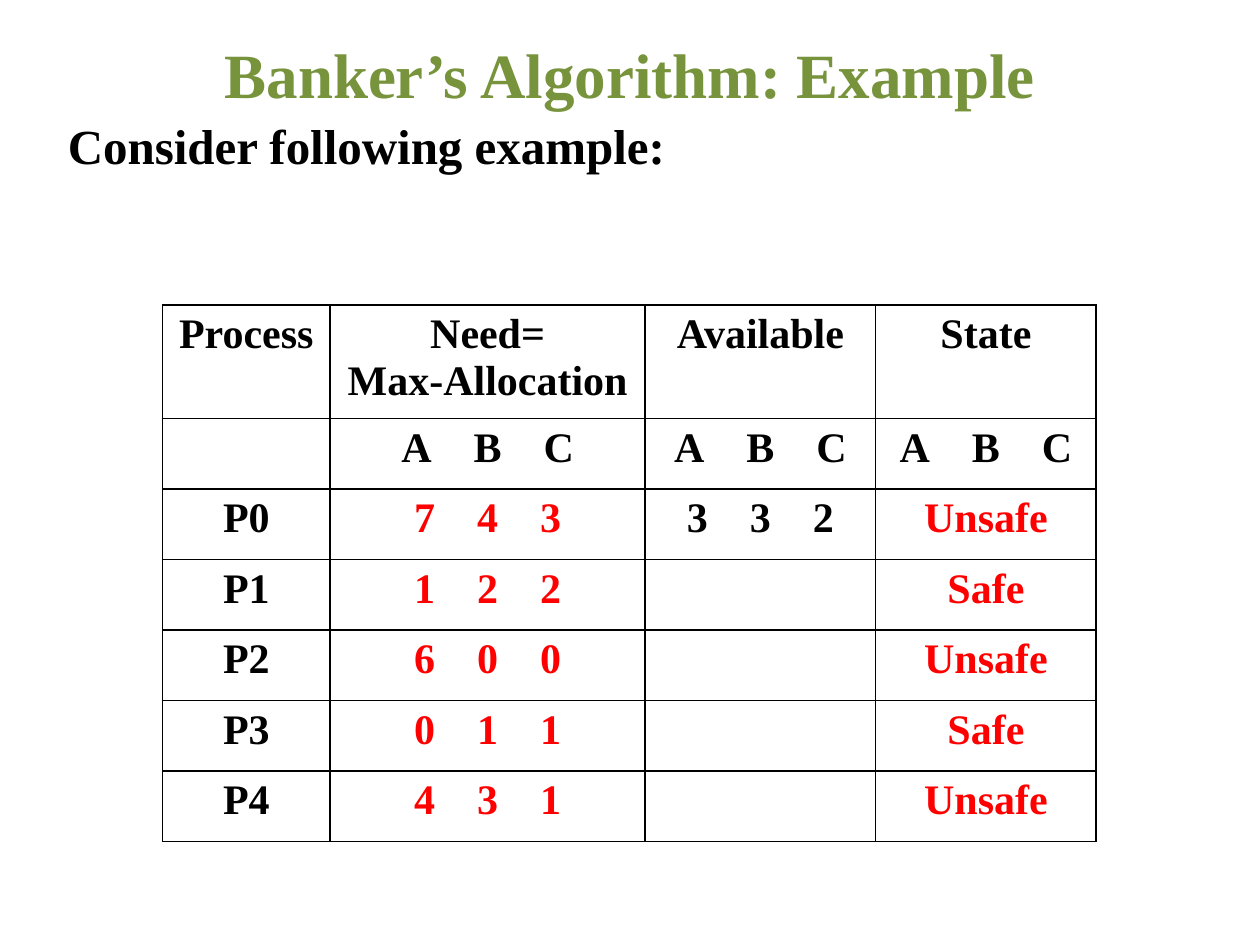
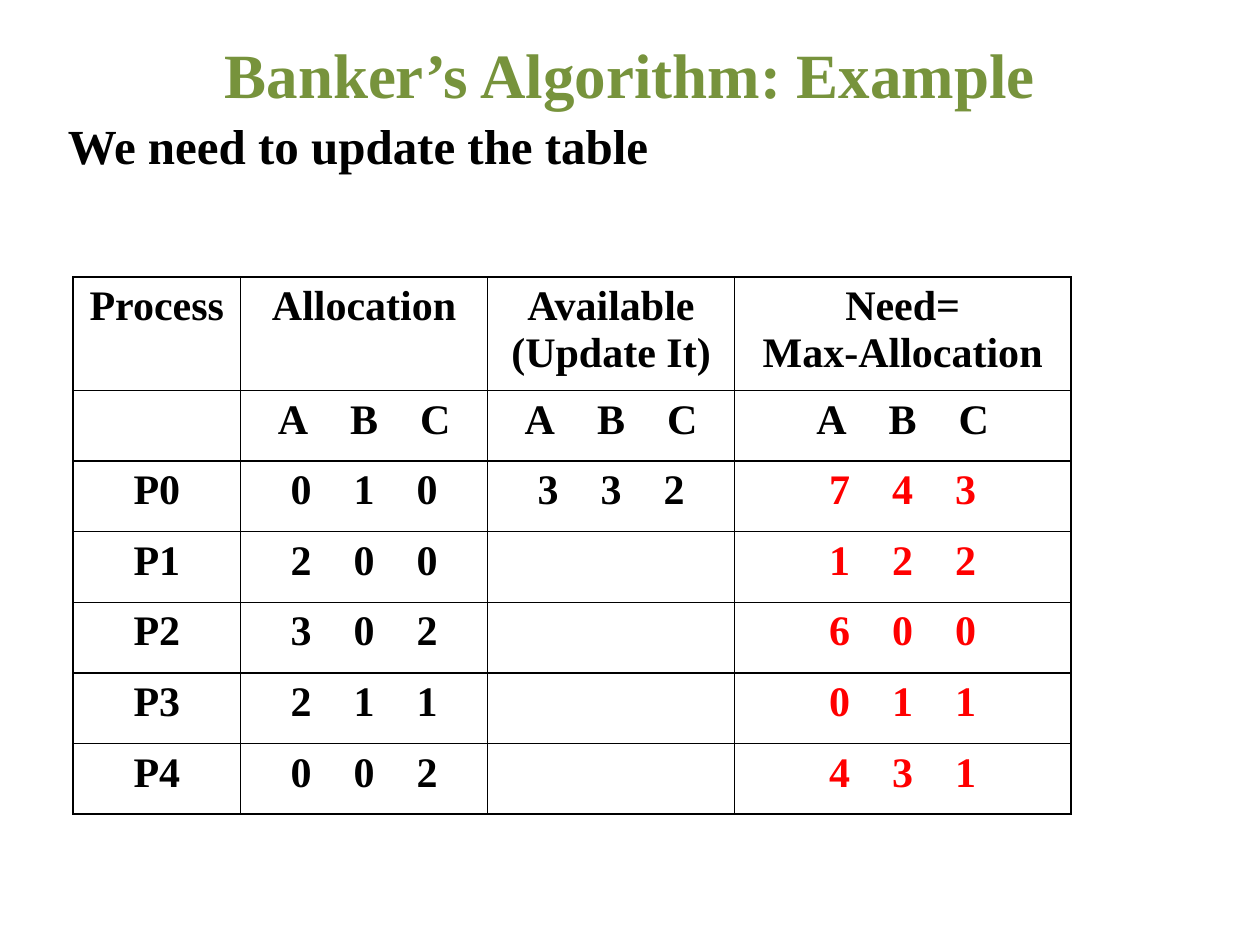
from lxml import etree
from pptx import Presentation
from pptx.dml.color import RGBColor
from pptx.enum.text import MSO_ANCHOR, PP_ALIGN
from pptx.oxml.ns import qn
from pptx.util import Inches, Pt

BLACK = RGBColor(0, 0, 0)
RED = RGBColor(0xFF, 0, 0)
GREEN = RGBColor(0x77, 0x93, 0x3C)
CENTER, JUSTIFY = PP_ALIGN.CENTER, PP_ALIGN.JUSTIFY
TOP, MIDDLE = MSO_ANCHOR.TOP, MSO_ANCHOR.MIDDLE
FONT = "Times New Roman"

# Content: the columns of each table
TITLE = "Banker’s Algorithm: Example"
ABC = "A B C"
PROCESS = ["Process", "", "P0", "P1", "P2", "P3", "P4"]
NEED = ["Need=\nMax-Allocation", ABC, "7 4 3", "1 2 2", "6 0 0", "0 1 1", "4 3 1"]
ALLOC = ["Allocation", ABC, "0 1 0", "2 0 0", "3 0 2", "2 1 1", "0 0 2"]
FREE = ["Available", ABC, "3 3 2", "", "", "", ""]
UPDATE = ["Available\n(Update It)"] + FREE[1:]
STATE = ["State", ABC, "Unsafe", "Safe", "Unsafe", "Safe", "Unsafe"]

# Each column: cells, width, colour of its values
SLIDES = [
    {"lead": "Consider following example:", "at": (1.29, 2.42),
     "cols": [(PROCESS, 1.33, BLACK), (NEED, 2.5, RED),
              (FREE, 1.83, BLACK), (STATE, 1.75, RED)]},
    {"lead": "We need to update the table", "at": (0.58, 2.2),
     "cols": [(PROCESS, 1.33, BLACK), (ALLOC, 1.96, BLACK),
              (UPDATE, 1.96, BLACK), (NEED, 2.67, RED)]},
]
HEADS = 2
HEAD_H, ROW_H = 0.84, 0.56
GAP = 18  # points added to the space between values


def add_run(para, text, size, color):
    run = para.add_run()
    run.text = text
    style = {"name": FONT, "size": Pt(size), "bold": True}
    for key, value in style.items():
        setattr(run.font, key, value)
    run.font.color.rgb = color
    return run


def add_text(slide, text, box, size, color, align, anchor):
    frame = slide.shapes.add_textbox(*map(Inches, box)).text_frame
    frame.word_wrap = True
    frame.vertical_anchor = anchor
    para = frame.paragraphs[0]
    para.alignment = align
    add_run(para, text, size, color)
    return para


def add_borders(cell):
    props = cell._tc.get_or_add_tcPr()
    for spot, side in enumerate("LRTB"):
        line = etree.Element(qn("a:ln" + side), w=str(Pt(1)))
        fill = etree.SubElement(line, qn("a:solidFill"))
        etree.SubElement(fill, qn("a:srgbClr"), val=str(BLACK))
        props.insert(spot, line)


def fill_cell(cell, text, color, spaced):
    cell.fill.background()
    add_borders(cell)
    frame = cell.text_frame
    for num, line in enumerate(text.split("\n")):
        para = frame.add_paragraph() if num else frame.paragraphs[0]
        para.alignment = CENTER
        if not line:
            continue
        parts = line.split() if spaced else [line]
        for spot, part in enumerate(parts):
            if spot:
                space = add_run(para, " ", 24, color)
                space._r.get_or_add_rPr().set("spc", str(GAP * 100))
            add_run(para, part, 24, color)


def add_grid(slide, at, cols):
    count = len(PROCESS)
    width = sum(col[1] for col in cols)
    height = HEAD_H + ROW_H * (count - 1)
    table = slide.shapes.add_table(
        count, len(cols), *map(Inches, (*at, width, height))).table
    table.first_row = table.horz_banding = False
    for row, line in enumerate(table.rows):
        line.height = Inches(ROW_H if row else HEAD_H)
    for col, (texts, wide, color) in enumerate(cols):
        table.columns[col].width = Inches(wide)
        for row, text in enumerate(texts):
            tint = BLACK if row < HEADS else color
            fill_cell(table.cell(row, col), text, tint, row > 0)


def main():
    deck = Presentation()
    deck.slide_width, deck.slide_height = Inches(10), Inches(7.5)
    for page in SLIDES:
        slide = deck.slides.add_slide(deck.slide_layouts[6])
        # Lead sentence, then title
        lead = add_text(slide, page["lead"], (0, 0.87, 10, 6.63),
                        28, BLACK, JUSTIFY, TOP)
        lead.space_before = Pt(3.6)
        lead._p.get_or_add_pPr().set("marL", str(Inches(0.44)))
        add_text(slide, TITLE, (0, 0, 10, 1.17), 36, GREEN, CENTER, MIDDLE)
        # Table
        add_grid(slide, page["at"], page["cols"])
    deck.save("out.pptx")


if __name__ == "__main__":
    main()
